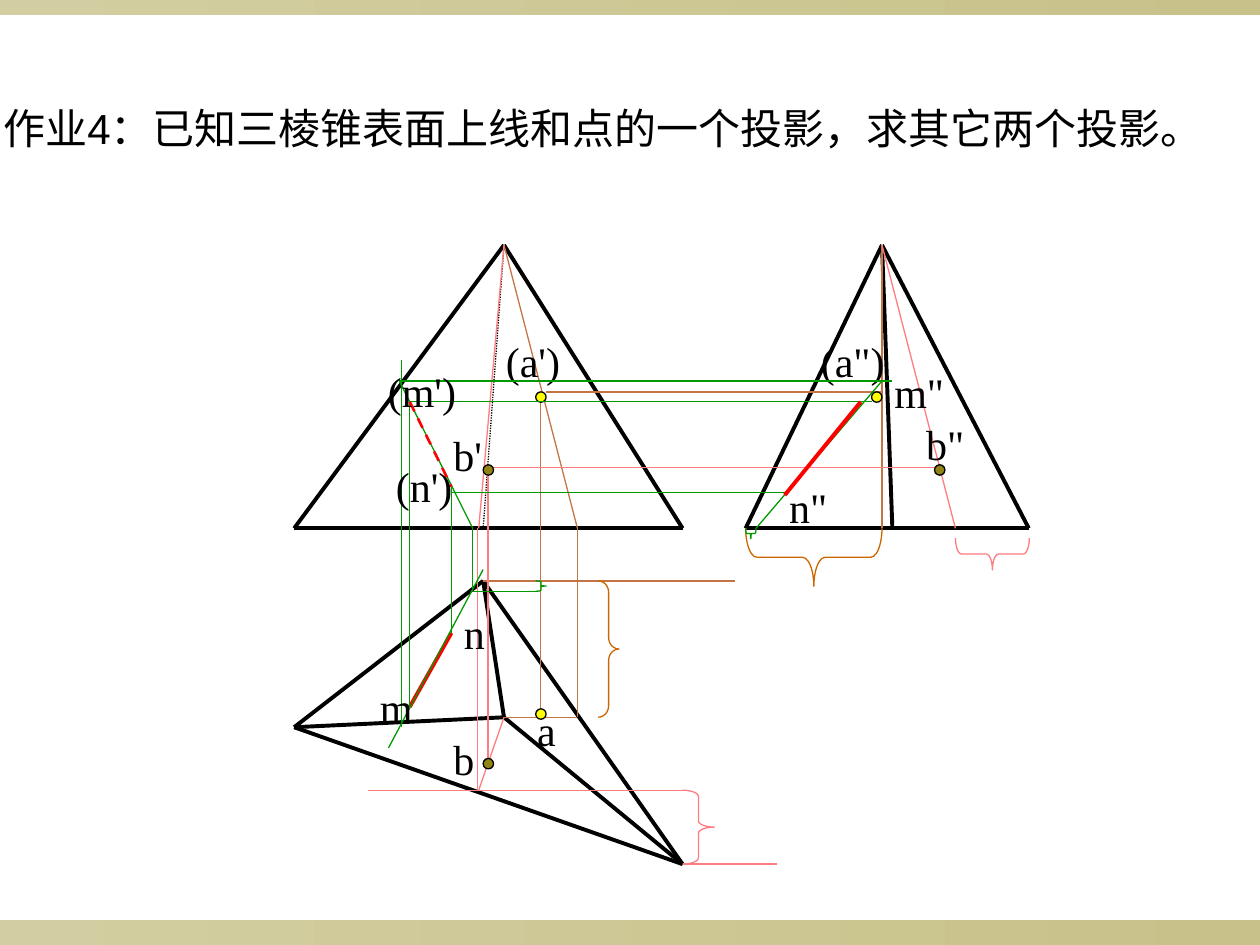
from lxml.etree import SubElement
from pptx import Presentation
from pptx.dml.color import RGBColor
from pptx.enum.dml import MSO_LINE_DASH_STYLE as Dash
from pptx.enum.shapes import MSO_CONNECTOR as Connector, MSO_SHAPE as Shape
from pptx.enum.text import MSO_ANCHOR as Anchor
from pptx.oxml.ns import qn
from pptx.util import Cm, Pt

BLACK, RED, YELLOW, OLIVE = "000000", "FF0000", "FFFF00", "918415"
GREEN, PINK, BROWN, ORANGE = "009900", "FF7C80", "C47546", "CC6600"
BAND_START, BAND_END = "D3CEA1", "C8C18A"

# Shared levels and vertices of the three views, in centimetres
APEX_Y, BASE_Y = 4.94, 10.65
FRONT_APEX, FRONT_LEFT, FRONT_RIGHT = (10.16, APEX_Y), (5.93, BASE_Y), (13.76, BASE_Y)
SIDE_APEX, SIDE_LEFT, SIDE_RIGHT = (17.78, APEX_Y), (15.03, BASE_Y), (20.74, BASE_Y)
TOP_APEX, TOP_LEFT = (10.16, 14.46), (5.93, 14.66)
TOP_BACK, TOP_RIGHT = (9.74, 11.71), (13.76, 17.42)
DOT = 0.21


def rgb(value):
    return RGBColor.from_string(value)


def add_band(page, top, height):
    band = page.shapes.add_shape(Shape.RECTANGLE, 0, Cm(top), Cm(25.4), Cm(height))
    band.shadow.inherit = False
    band.line.fill.background()
    band.fill.gradient()
    band.fill.gradient_angle = 0
    for stop, color in zip(band.fill.gradient_stops, (BAND_START, BAND_END)):
        stop.color.rgb = rgb(color)


def add_line(page, start, end, color, width=0.75, dash=None):
    line = page.shapes.add_connector(
        Connector.STRAIGHT, *(Cm(value) for value in (*start, *end)))
    line.line.color.rgb = rgb(color)
    line.line.width = Pt(width)
    if dash:
        line.line.dash_style = dash
    SubElement(line._element.spPr, qn("a:effectLst"))


def add_lines(page, segments, color, width=0.75):
    for start, end in segments:
        add_line(page, start, end, color, width)


def add_dot(page, left, top, color):
    dot = page.shapes.add_shape(Shape.OVAL, Cm(left), Cm(top), Cm(DOT), Cm(DOT))
    dot.shadow.inherit = False
    dot.fill.solid()
    dot.fill.fore_color.rgb = rgb(color)
    dot.line.color.rgb = rgb(BLACK)
    dot.line.width = Pt(0.75)


def add_brace(page, left, top, length, depth, color, down=False):
    """Add a brace pointing right, or down; left and top are as it shows."""
    if down:
        shift = (length - depth) / 2
        left, top = left + shift, top - shift
    brace = page.shapes.add_shape(
        Shape.RIGHT_BRACE, Cm(left), Cm(top), Cm(depth), Cm(length))
    brace.rotation = 90 if down else 0
    brace.adjustments[0] = length / depth / 12
    brace.shadow.inherit = False
    brace.fill.background()
    brace.line.color.rgb = rgb(color)
    brace.line.width = Pt(0.75)


def add_text(page, text, left, top, width, font="Times New Roman", anchor=Anchor.TOP):
    box = page.shapes.add_textbox(Cm(left), Cm(top), Cm(width), Cm(1.27))
    frame = box.text_frame
    frame.word_wrap = True
    frame.vertical_anchor = anchor
    span = frame.paragraphs[0].add_run()
    span.text = text
    span.font.name = font
    span.font.size = Pt(24)
    span.font.color.rgb = rgb(BLACK)


def draw_pyramid(page):
    top_view = [(TOP_LEFT, TOP_BACK), (TOP_BACK, TOP_APEX), (TOP_BACK, TOP_RIGHT),
                (TOP_LEFT, TOP_RIGHT), (TOP_LEFT, TOP_APEX), (TOP_APEX, TOP_RIGHT)]
    front_view = [(FRONT_LEFT, FRONT_RIGHT), (FRONT_APEX, FRONT_LEFT),
                  (FRONT_APEX, FRONT_RIGHT)]
    side_view = [(SIDE_APEX, SIDE_LEFT), (SIDE_APEX, (17.99, BASE_Y)),
                 (SIDE_APEX, SIDE_RIGHT), (SIDE_LEFT, SIDE_RIGHT)]
    add_lines(page, top_view + front_view + side_view, BLACK, 2.25)
    add_line(page, FRONT_APEX, (9.74, BASE_Y), BLACK, dash=Dash.ROUND_DOT)


def draw_point_a(page):
    foot = (11.64, BASE_Y)
    foot_below = (11.64, TOP_APEX[1])
    add_lines(page, [
        (FRONT_APEX, foot), (foot, foot_below), (TOP_APEX, foot_below),
        ((10.9, 8.1), (10.9, TOP_APEX[1])), (TOP_BACK, (14.82, TOP_BACK[1])),
        (SIDE_APEX, (SIDE_APEX[0], BASE_Y)), ((11.01, 7.9), (17.78, 7.9)),
    ], BROWN)
    depth = TOP_APEX[1] - TOP_BACK[1]
    add_brace(page, 12.06, TOP_BACK[1], depth, 0.42, ORANGE)
    add_brace(page, *SIDE_LEFT, depth, 1.17, ORANGE, down=True)
    for left, top in ((10.8, 7.9), (10.8, 14.29), (17.57, 7.9)):
        add_dot(page, left, top, YELLOW)
    add_text(page, "(a')", 9.95, 6.63, 1.91)
    add_text(page, "a", 10.58, 14.08, 3.39)
    add_text(page, "(a\")", 16.3, 6.63, 2.12)


def draw_point_b(page):
    level = 15.93
    add_lines(page, [
        (SIDE_APEX, (19.26, BASE_Y)), (TOP_RIGHT, (15.66, TOP_RIGHT[1])),
        ((TOP_RIGHT[0], level), (7.41, level)), (TOP_APEX, (9.65, level)),
        ((9.63, level), (9.63, BASE_Y)), (FRONT_APEX, (9.65, BASE_Y)),
        ((18.84, 9.42), (9.74, 9.42)), ((9.84, 9.37), (9.84, 15.29)),
    ], PINK)
    depth = TOP_RIGHT[1] - level
    add_brace(page, 19.26, 10.85, depth, 0.64, PINK, down=True)
    add_brace(page, TOP_RIGHT[0], level, depth, 0.64, PINK)
    for left, top in ((18.84, 9.37), (9.74, 15.29), (9.74, 9.37)):
        add_dot(page, left, top, OLIVE)
    add_text(page, "b\"", 18.42, 8.31, 1.7)
    add_text(page, "b", 8.89, 14.66, 1.07)
    add_text(page, "b'", 8.89, 8.53, 1.7)


def draw_line_mn(page):
    m_top, n_top = (8.26, 14.25), (9.1, 12.76)
    m_front, n_front = (8.26, 8.1), (9.1, 9.81)
    edge = (8.05, 7.68)
    foot, foot_below = (9.53, BASE_Y), (9.53, 11.92)
    add_line(page, m_top, n_top, RED, 2.25)
    add_lines(page, [
        ((7.83, 15.08), (9.74, 11.48)), ((8.1, 14.66), (8.1, 7.26)),
        (foot_below, foot), (edge, foot), (m_top, m_front), (n_top, n_front),
        (edge, (17.99, 7.68)), (foot_below, (10.8, 11.92)),
        ((17.78, 7.68), (15.24, BASE_Y)), (m_front, (17.57, 8.1)),
        ((9.1, 9.93), (15.88, 9.93)),
    ], GREEN)
    add_line(page, m_front, n_front, RED, 1.5, Dash.DASH)
    add_line(page, (17.35, 8.1), (15.82, 9.98), RED, 2.25)
    add_brace(page, 10.8, TOP_BACK[1], 0.21, 0.21, GREEN)
    add_brace(page, *SIDE_LEFT, 0.21, 0.21, GREEN, down=True)
    add_text(page, "m", 7.41, 13.61, 1.27)
    add_text(page, "n", 9.1, 12.12, 1.7)
    add_text(page, "m\"", 17.78, 7.26, 1.91)
    add_text(page, "n\"", 15.66, 9.58, 4.02)
    add_text(page, "(n')", 7.73, 9.16, 2.49)
    add_text(page, "(m')", 7.57, 7.24, 3)


def main():
    deck = Presentation()
    deck.slide_width, deck.slide_height = Cm(25.4), Cm(19.05)
    page = deck.slides.add_slide(deck.slide_layouts[6])
    add_band(page, 18.54, 0.51)
    add_band(page, 0, 0.3)
    draw_pyramid(page)
    draw_point_a(page)
    draw_point_b(page)
    draw_line_mn(page)
    add_text(page, "作业4：已知三棱锥表面上线和点的一个投影，求其它两个投影。",
             -0.18, 1.93, 25.22, font="Arial", anchor=Anchor.MIDDLE)
    deck.save("out.pptx")


if __name__ == "__main__":
    main()
